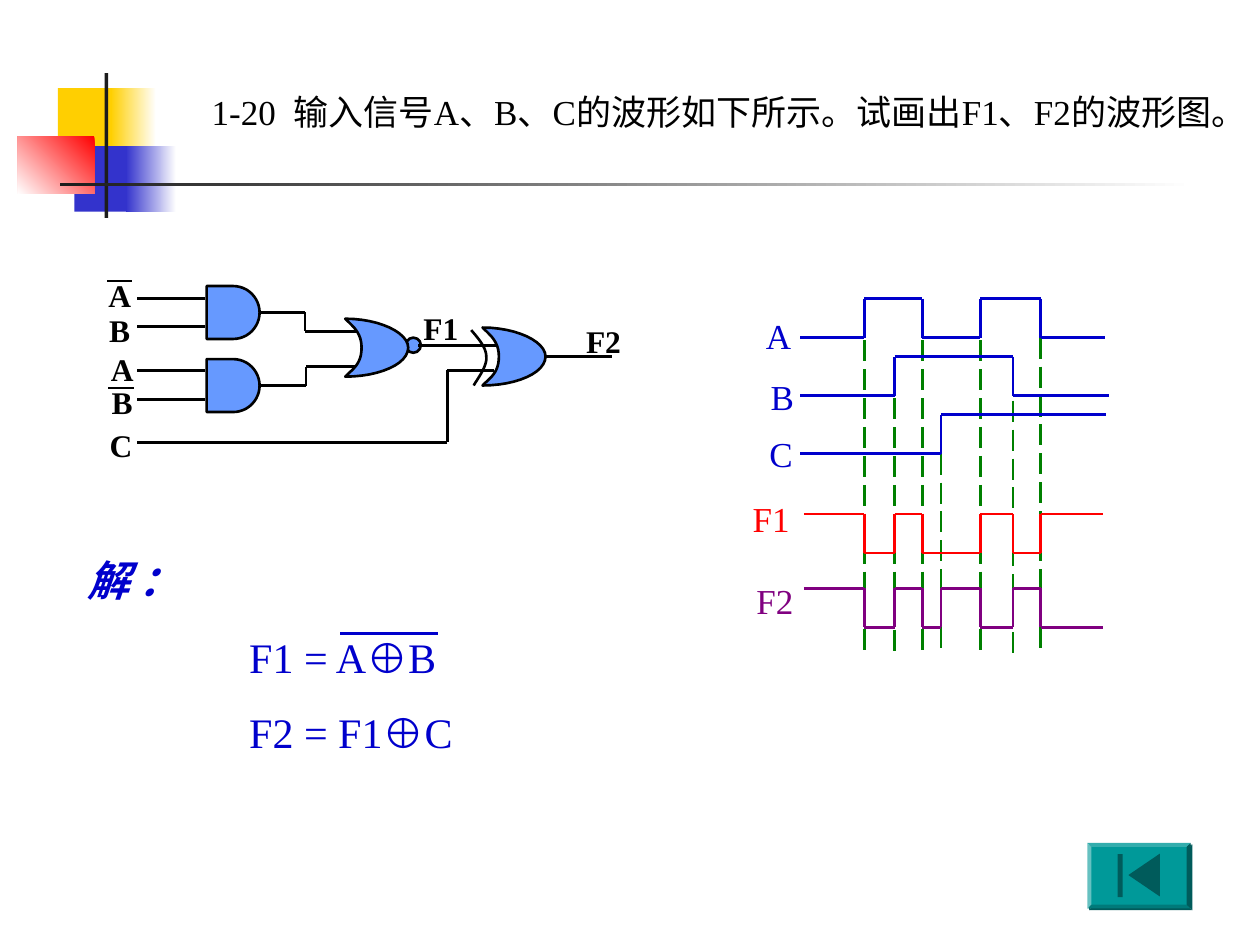
"""Build the exercise slide with a logic circuit and its waveforms."""
from itertools import pairwise

from lxml import etree
from pptx import Presentation
from pptx import util as u
from pptx.dml.color import RGBColor
from pptx.enum import dml, shapes, text
from pptx.oxml.ns import qn

PX = 9144
FONT = "Times New Roman"
C = {"black": "000000", "blue": "0000CC", "red": "FF0000", "purple": "800080",
     "green": "008000", "gate": "6699FF", "yellow": "FFCF01", "navy": "3333CC",
     "dark": "1C1C1C", "white": "FFFFFF", "button": "009999", "icon": "005B5B"}
S = shapes.MSO_SHAPE

TITLE = "1-20  输入信号A、B、C的波形如下所示。试画出F1、F2的波形图。"
DECOR = [  # box, colours from start to end, gradient angle
    ((46, 70, 48, 52), ("yellow",), 0),
    ((88, 70, 36, 52), ("white", "yellow"), 180),
    ((59, 116, 46, 52), ("navy",), 0),
    ((100, 116, 40, 52), ("white", "navy"), 180),
    ((14, 108, 61, 46), ("red", "white"), 225),
    ((83, 58, 3, 115), ("dark",), 0),
    ((48, 145, 900, 3), ("white", "dark"), 180),
]
AND_GATES = [  # top, output wire
    (227, [(206, 248), (242, 248), (242, 263), (283, 263)]),
    (285, [(206, 306), (243, 306), (243, 291), (284, 291)]),
]
WIRES = [
    [(163, 237), (109, 237)], [(163, 259), (109, 259)],
    [(163, 294), (109, 294)], [(163, 317), (109, 317)],
    [(332, 274), (395, 274)],
    [(392, 294), (355, 294), (355, 351), (109, 351)],
    [(431, 283), (486, 283)],
]
NEGATION_BARS = [[(85, 223), (105, 223)], [(86, 308), (106, 308)]]
OR_BODY = [(0, 0), (6, 6, 13, 11, 13, 23), (13, 36, 6, 40, 0, 46),
           (27, 46, 50, 36, 50, 23), (50, 11, 27, 0, 0, 0)]
XOR_ARC = [(0, 0), (6, 7, 12, 14, 12, 21), (13, 29, 4, 40, 2, 44)]
OR_ORIGINS = [(274, 253), (383, 260)]
PIN_LABELS = [("A", 68, 214), ("B", 68, 242), ("B", 70, 299), ("A", 70, 273),
              ("C", 69, 333), ("F2", 452, 251), ("F1", 323, 240)]
FORMULAS = ["F1 = A⊕B", "F2 = F1⊕C"]
GUIDES = [(686, 270), (732, 270), (778, 270), (826, 268), (710, 316),
          (804, 318), (747, 360)]
SIGNALS = [  # name, label corner, colour, span, high y, starts high, edges
    ("A", (591, 245), "blue", (635, 877), 237, False, [686, 732, 778, 826]),
    ("B", (594, 293), "blue", (635, 880), 283, False, [710, 804]),
    ("C", (593, 338), "blue", (635, 878), 329, False, [747]),
    ("F1", (585, 390), "red", (638, 875), 408, True,
     [686, 710, 732, 778, 804, 826]),
    ("F2", (588, 455), "purple", (638, 875), 467, True,
     [686, 710, 732, 747, 778, 804, 826]),
]
SWING = 31


def rgb(name):
    return RGBColor.from_string(C[name])


def style(sp, fill=None, line=None):
    sp.shadow.inherit = False
    if fill:
        sp.fill.solid()
        sp.fill.fore_color.rgb = rgb(fill)
    else:
        sp.fill.background()
    if line:
        sp.line.color.rgb = rgb(line)
        sp.line.width = u.Pt(1.5)
    else:
        sp.line.fill.background()
    return sp


def box(s, kind, at, fill, line=None):
    return style(s.shapes.add_shape(kind, *(v * PX for v in at)), fill, line)


def polyline(s, points, color, dash=None):
    lines = []
    for a, b in pairwise(points):
        c = s.shapes.add_connector(shapes.MSO_CONNECTOR.STRAIGHT,
                                   *(v * PX for v in (*a, *b)))
        c.line.color.rgb = rgb(color)
        c.line.width = u.Pt(1.5)
        if dash:
            c.line.dash_style = dash
        etree.SubElement(c._element.spPr, qn("a:effectLst"))
        lines.append(c)
    return lines


def curve(s, origin, segments, fill=None, steps=12):
    pts = [segments[0]]
    for x1, y1, x2, y2, x3, y3 in segments[1:]:
        x0, y0 = pts[-1]
        for t in (i / steps for i in range(1, steps + 1)):
            w = ((1 - t) ** 3, 3 * t * (1 - t) ** 2, 3 * t * t * (1 - t), t ** 3)
            pts.append((sum(k * v for k, v in zip(w, (x0, x1, x2, x3))),
                        sum(k * v for k, v in zip(w, (y0, y1, y2, y3)))))
    pts = [((x + origin[0]) * PX, (y + origin[1]) * PX) for x, y in pts]
    fb = s.shapes.build_freeform(*pts[0])
    fb.add_line_segments(pts[1:], close=bool(fill))
    return style(fb.convert_to_shape(), fill, "black")


def write(sp, lines, color, size, align="CENTER", spacing=None, **fmt):
    tf = sp.text_frame
    frame = {"word_wrap": True, "auto_size": text.MSO_AUTO_SIZE.NONE,
             "vertical_anchor": text.MSO_ANCHOR.TOP}
    for k, v in frame.items():
        setattr(tf, k, v)
    for i, line in enumerate(lines):
        p = tf.add_paragraph() if i else tf.paragraphs[0]
        p.alignment = text.PP_ALIGN[align]
        if spacing:
            p.line_spacing = spacing
        r = p.add_run()
        r.text = line
        for k, v in {"name": FONT, "size": u.Pt(size), **fmt}.items():
            setattr(r.font, k, v)
        r.font.color.rgb = rgb(color)


def label(s, at, lines, color, size, **fmt):
    write(s.shapes.add_textbox(*(v * PX for v in at)), lines, color, size, **fmt)


def decorate(s):
    for at, colors, angle in DECOR:
        sp = box(s, S.RECTANGLE, at, colors[0])
        if len(colors) == 2:
            sp.fill.gradient()
            sp.fill.gradient_angle = angle
            for stop, name in zip(sp.fill.gradient_stops, colors):
                stop.color.rgb = rgb(name)


def draw_circuit(s):
    for top, output in AND_GATES:
        gate = box(s, S.FLOWCHART_DELAY, (164, top, 42, 42), "gate", "black")
        polyline(s, output, "black")[0].begin_connect(gate, 3)
    box(s, S.OVAL, (322, 268, 12, 12), "gate", "black")
    for wire in WIRES + NEGATION_BARS:
        polyline(s, wire, "black")
    for origin in OR_ORIGINS:
        curve(s, origin, OR_BODY, "gate")
    curve(s, (374, 262), XOR_ARC)
    for name, x, y in PIN_LABELS:
        label(s, (x, y, 54, 40), [name], "black", 18, bold=True)


def draw_waveforms(s):
    for x, top in GUIDES:
        polyline(s, [(x, top), (x, 519)], "green", dml.MSO_LINE.LONG_DASH)
    for name, corner, color, (start, end), top, high, edges in SIGNALS:
        label(s, (*corner, 54, 44), [name], color, 20)
        y = top if high else top + SWING
        points = [(start, y)]
        for x in edges:
            points.append((x, y))
            y = 2 * top + SWING - y
            points.append((x, y))
        polyline(s, points + [(end, y)], color)


def draw_button(s):
    sp = box(s, S.BEVEL, (863, 669, 82, 52), "button")
    sp.adjustments[0] = 0.06
    effects = sp._element.spPr.find(qn("a:effectLst"))
    shadow = etree.SubElement(effects, qn("a:outerShdw"), dist="17780", dir="2700000")
    etree.SubElement(shadow, qn("a:srgbClr"), val=C["icon"])
    box(s, S.RECTANGLE, (887, 678, 4, 34), "icon")
    box(s, S.ISOSCELES_TRIANGLE, (891, 682, 34, 25), "icon").rotation = 270


def main():
    prs = Presentation()
    prs.slide_width, prs.slide_height = 1000 * PX, 750 * PX
    s = prs.slides.add_slide(prs.slide_layouts[5])
    decorate(s)
    title = s.shapes.title
    for k, v in zip(("left", "top", "width", "height"), (158, 67, 817, 77)):
        setattr(title, k, v * PX)
    write(title, [TITLE], "black", 20, align="LEFT")
    draw_circuit(s)
    label(s, (188, 476, 280, 130), FORMULAS, "blue", 24, align="LEFT", spacing=1.5)
    polyline(s, [(270, 503), (348, 503)], "blue")
    label(s, (54, 435, 105, 50), ["解 ："], "blue", 24, bold=True, italic=True)
    draw_waveforms(s)
    draw_button(s)
    prs.save("out.pptx")


if __name__ == "__main__":
    main()
